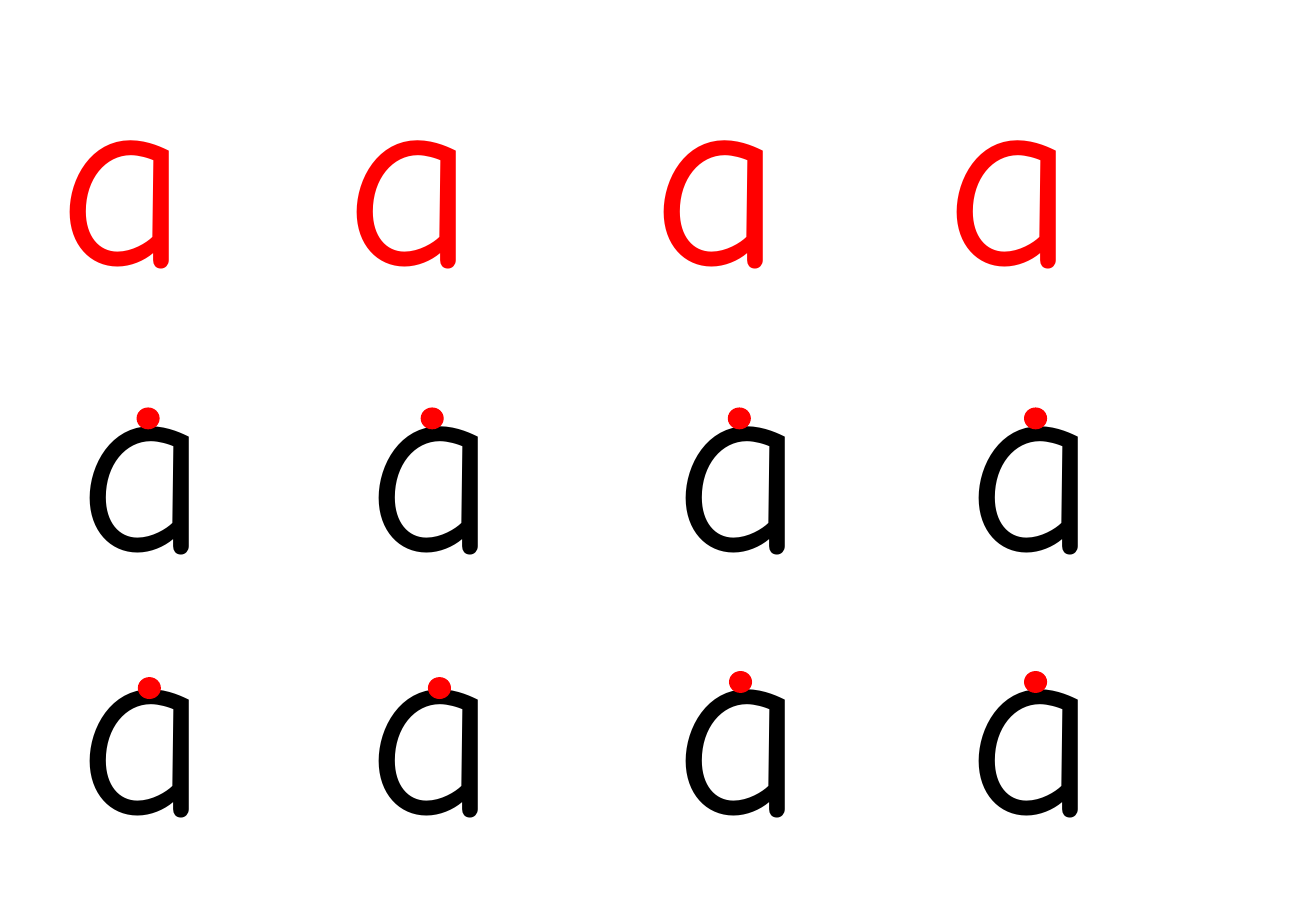
from pptx import Presentation
from pptx import util as u
from pptx.dml.color import RGBColor
from pptx.enum import shapes, text

PX = 9144  # EMU in one px, 100 px to the inch
RED, BLACK = "FF0000", "000000"
MODEL_COLUMNS = (38, 275, 528, 769)
TRACE_COLUMNS = (55, 293, 546, 787)
LETTER_ROWS = (
    (5, MODEL_COLUMNS, RED),
    (241, TRACE_COLUMNS, BLACK),
    (457, TRACE_COLUMNS, BLACK),
)
START_DOTS = (
    (113, 336), (347, 336), (600, 336), (844, 336),
    (114, 558), (353, 558), (601, 553), (844, 553),
)


def px(*lengths):
    return [u.Emu(length * PX) for length in lengths]


def color(hex_string):
    return RGBColor.from_string(hex_string)


def add_letter(s, left, top, hex_string):
    tf = s.shapes.add_textbox(*px(left, top, 127, 260)).text_frame
    frame_format = {
        "word_wrap": False,
        "auto_size": text.MSO_AUTO_SIZE.SHAPE_TO_FIT_TEXT,
        "vertical_anchor": text.MSO_ANCHOR.TOP,
    }
    for name, value in frame_format.items():
        setattr(tf, name, value)
    r = tf.paragraphs[0].add_run()
    r.text = "a"
    for name, value in {"name": "Comic Neue", "size": u.Pt(150)}.items():
        setattr(r.font, name, value)
    r.font.color.rgb = color(hex_string)


def add_start_dot(s, left, top):
    """Mark where the pen starts to write the letter."""
    sp = s.shapes.add_shape(shapes.MSO_SHAPE.OVAL, *px(left, top, 18, 17))
    sp.shadow.inherit = False
    sp.fill.solid()
    sp.fill.fore_color.rgb = color(RED)
    sp.line.color.rgb = color(RED)
    sp.line.width = u.Pt(0.75)


def main():
    prs = Presentation()
    prs.slide_width, prs.slide_height = px(1084, 750)
    s = prs.slides.add_slide(prs.slide_layouts[6])
    for top, columns, hex_string in LETTER_ROWS:
        for left in columns:
            add_letter(s, left, top, hex_string)
    for left, top in START_DOTS:
        add_start_dot(s, left, top)
    prs.save("out.pptx")


if __name__ == "__main__":
    main()
